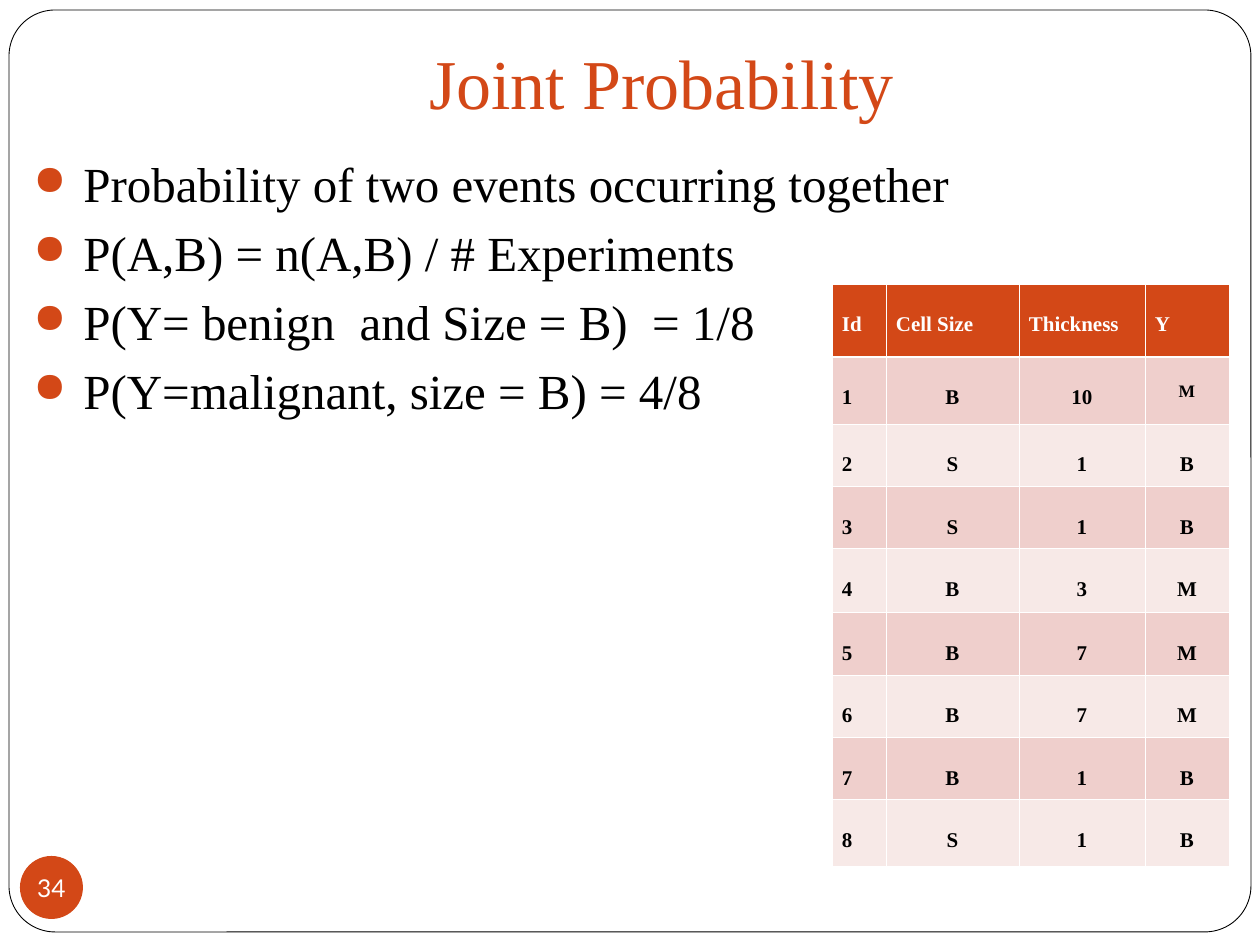
"""Build the joint probability slide with its formulas and data table."""
from lxml.etree import SubElement
from pptx import Presentation
from pptx.dml.color import RGBColor
from pptx.enum.shapes import MSO_SHAPE
from pptx.enum.text import MSO_ANCHOR, PP_ALIGN
from pptx.oxml.ns import qn
from pptx.util import Pt

COLORS = {
    "accent": "D34817",
    "text": "000000",
    "white": "FFFFFF",
    "odd": "EFCFCC",
    "even": "F7E9E7",
}
SERIF = "Times New Roman"
SANS = "Lato"


def px(value):
    return round(value * 914400 / 126)


def rgb(name):
    return RGBColor.from_string(COLORS[name])


class Deck:
    def __init__(self, width, height):
        self.prs = Presentation()
        self.prs.slide_width, self.prs.slide_height = px(width), px(height)
        self.slide = self.prs.slides.add_slide(self.prs.slide_layouts[5])

    def insets(self, obj, left, top, right, bottom):
        obj.margin_left, obj.margin_top = px(left), px(top)
        obj.margin_right, obj.margin_bottom = px(right), px(bottom)

    def run(self, p, text, size, color, font=SERIF, bold=False):
        r = p.add_run()
        r.text = text
        r.font.size, r.font.name, r.font.bold = Pt(size), font, bold
        r.font.color.rgb = rgb(color)

    def shape(self, kind, box, fill, line=None):
        sp = self.slide.shapes.add_shape(kind, *map(px, box))
        sp.shadow.inherit = False
        sp.fill.solid()
        sp.fill.fore_color.rgb = rgb(fill)
        if line:
            sp.line.color.rgb = rgb(line)
            sp.line.width = Pt(0.5)
        else:
            sp.line.fill.background()
        return sp

    def frame(self, box):
        sp = self.shape(MSO_SHAPE.ROUNDED_RECTANGLE, box, "white", "text")
        sp.adjustments[0] = 0.05
        sp.element.getparent().insert(2, sp.element)

    def title(self, box, text):
        sp = self.slide.shapes.title
        sp.left, sp.top, sp.width, sp.height = map(px, box)
        tf = sp.text_frame
        tf.word_wrap = True
        tf.vertical_anchor = MSO_ANCHOR.BOTTOM
        self.insets(tf, 13, 6, 13, 13)
        p = tf.paragraphs[0]
        p.alignment = PP_ALIGN.CENTER
        self.run(p, text, 40, "accent")

    def bullets(self, box, lines):
        tf = self.slide.shapes.add_textbox(*map(px, box)).text_frame
        tf.word_wrap = True
        for i, line in enumerate(lines):
            p = tf.add_paragraph() if i else tf.paragraphs[0]
            p.space_before = Pt(5.8)
            pPr = p._p.get_or_add_pPr()
            pPr.set("marL", str(px(50)))
            pPr.set("indent", str(-px(50)))
            color = SubElement(pPr, qn("a:buClr"))
            SubElement(color, qn("a:srgbClr"), val=COLORS["accent"])
            SubElement(pPr, qn("a:buSzPct"), val="85000")
            SubElement(pPr, qn("a:buChar"), char="●")
            self.run(p, line, 28, "text")

    def badge(self, box, text):
        tf = self.shape(MSO_SHAPE.OVAL, box, "accent").text_frame
        tf.word_wrap = False
        tf.vertical_anchor = MSO_ANCHOR.MIDDLE
        self.insets(tf, 0, 0, 0, 0)
        p = tf.paragraphs[0]
        p.alignment = PP_ALIGN.CENTER
        self.run(p, text, 14, "white", SANS)

    def borders(self, cell, widths):
        tcPr = cell._tc.get_or_add_tcPr()
        for i, (side, width) in enumerate(widths.items()):
            ln = tcPr.makeelement(qn(f"a:{side}"), {"w": str(Pt(width))})
            fill = SubElement(ln, qn("a:solidFill"))
            SubElement(fill, qn("a:srgbClr"), val=COLORS["white"])
            tcPr.insert(i, ln)

    def cell(self, cell, row, col, text):
        header = row == 0
        cell.fill.solid()
        cell.fill.fore_color.rgb = rgb("accent" if header else "odd" if row % 2 else "even")
        self.insets(cell, 10, 6, 10, 6)
        self.borders(cell, {
            "lnL": 0.45,
            "lnR": 0.45,
            "lnT": 1.47 if row == 1 else 0.45,
            "lnB": 1.47 if header else 0.45,
        })
        p = cell.text_frame.paragraphs[0]
        p.line_spacing = 2.0
        if header:
            p.alignment = PP_ALIGN.JUSTIFY
            p.space_after = Pt(6)
        else:
            p.alignment = PP_ALIGN.CENTER if col else PP_ALIGN.LEFT
            p.space_before = Pt(6)
        size = 10 if (row, col) == (1, 3) else 12
        self.run(p, text, size, "white" if header else "text", bold=True)

    def table(self, left, top, widths, heights, rows):
        box = map(px, (left, top, sum(widths), sum(heights)))
        tbl = self.slide.shapes.add_table(len(heights), len(widths), *box).table
        for column, width in zip(tbl.columns, widths):
            column.width = px(width)
        for i, (height, row) in enumerate(zip(heights, rows)):
            tbl.rows[i].height = px(height)
            for j, text in enumerate(row):
                self.cell(tbl.cell(i, j), i, j, text)


def main():
    deck = Deck(1260, 945)
    deck.frame((9, 10, 1242, 922))
    deck.title((126, -21, 1071, 158), "Joint Probability")
    deck.bullets((21, 147, 1071, 630), [
        "Probability of two events occurring together",
        "P(A,B) = n(A,B) / # Experiments",
        "P(Y= benign  and Size = B)  = 1/8",
        "P(Y=malignant, size = B) = 4/8",
    ])
    deck.badge((20, 856, 63, 63), "34")
    samples = ["B 10 M", "S 1 B", "S 1 B", "B 3 M", "B 7 M", "B 7 M", "B 1 B", "S 1 B"]
    rows = [["Id", "Cell Size", "Thickness", "Y"]]
    rows += [[str(i), *sample.split()] for i, sample in enumerate(samples, 1)]
    deck.table(832, 284, [54, 133, 126, 84], [73, 67, 59, 61, 64, 59, 59, 60, 67], rows)
    deck.prs.save("out.pptx")


if __name__ == "__main__":
    main()
